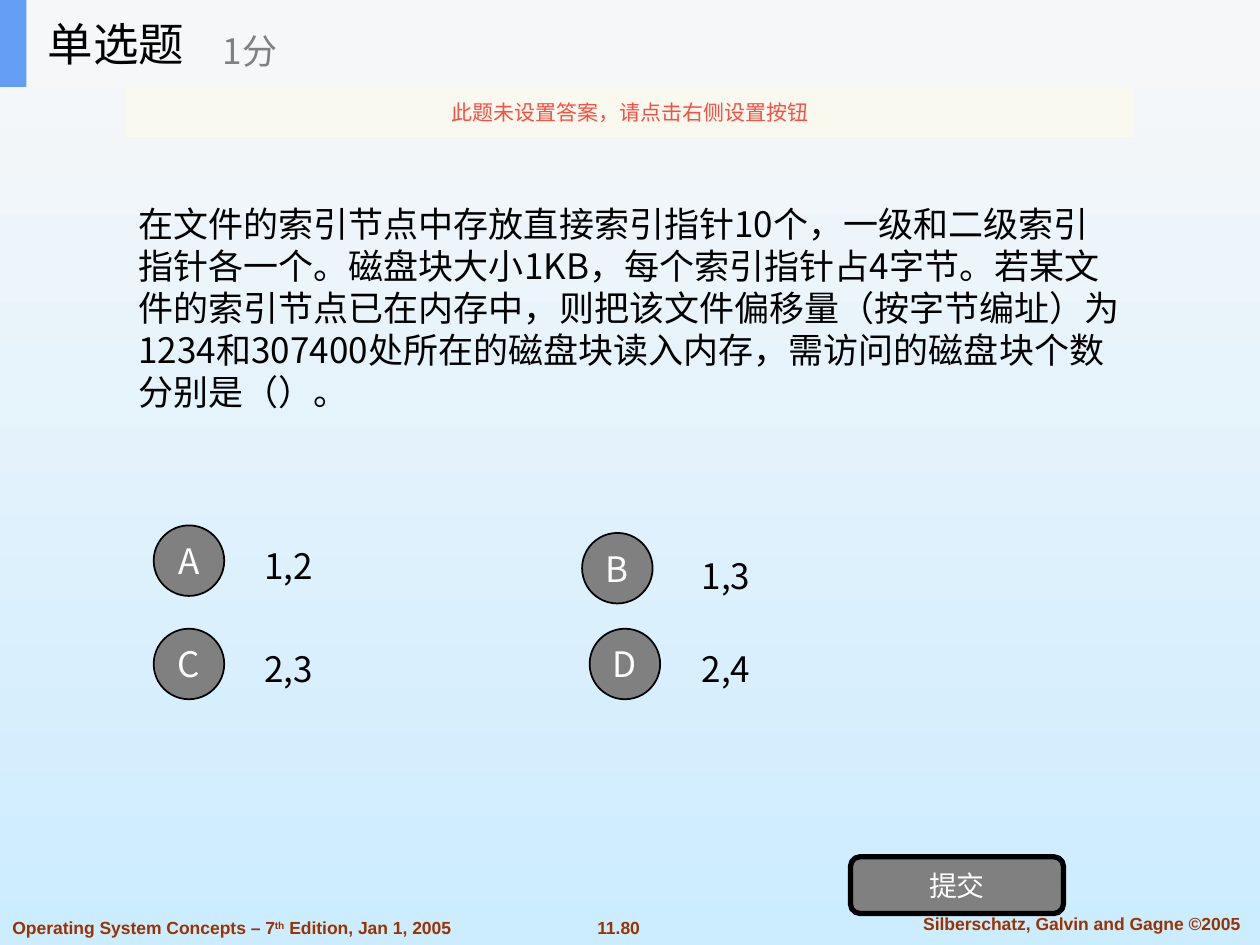
"""Builds a single-choice quiz slide about file index blocks."""
from lxml import etree
from pptx import Presentation
from pptx.dml.color import RGBColor
from pptx.enum.shapes import MSO_SHAPE
from pptx.enum.text import MSO_ANCHOR, PP_ALIGN
from pptx.oxml.ns import qn
from pptx.util import Emu, Pt

EMU_PER_PX = 9144
RECTANGLE, ROUNDED, OVAL = MSO_SHAPE.RECTANGLE, MSO_SHAPE.ROUNDED_RECTANGLE, MSO_SHAPE.OVAL
LEFT, CENTER = PP_ALIGN.LEFT, PP_ALIGN.CENTER
TOP, MIDDLE = MSO_ANCHOR.TOP, MSO_ANCHOR.MIDDLE
BODY_FONT, FOOTER_FONT = "Noto Sans CJK SC", "Arial"

BLACK = RGBColor(0x00, 0x00, 0x00)
WHITE = RGBColor(0xFF, 0xFF, 0xFF)
GRAY = RGBColor(0x80, 0x80, 0x80)
BROWN = RGBColor(0x99, 0x33, 0x00)
BLUE = RGBColor(0x63, 0x9E, 0xF4)
HEADER = RGBColor(0xF6, 0xF7, 0xF8)
CREAM = RGBColor(0xFB, 0xFA, 0xEF)
RED = RGBColor(0xF8, 0x4F, 0x41)
SKY_TOP = RGBColor(0xF8, 0xF8, 0xF8)
SKY_BOTTOM = RGBColor(0xCC, 0xEC, 0xFF)

QUESTION = (
    "在文件的索引节点中存放直接索引指针10个，一级和二级索引指针各一个。"
    "磁盘块大小1KB，每个索引指针占4字节。若某文件的索引节点已在内存中，"
    "则把该文件偏移量（按字节编址）为1234和307400处所在的磁盘块读入内存，"
    "需访问的磁盘块个数分别是（）。"
)
OPTIONS = [
    ("A", "1,2", (122, 417), (200, 417)),
    ("B", "1,3", (462, 423), (547, 425)),
    ("C", "2,3", (122, 499), (200, 499)),
    ("D", "2,4", (468, 499), (547, 499)),
]
FOOTERS = [
    ([("11.80", 0)], (463, 723, 56, 27), CENTER, False),
    ([("Silberschatz, Galvin and Gagne ©2005", 0)], (710, 720, 297, 27), CENTER, True),
    ([("Operating System Concepts – 7", 0), ("th", 30), (" Edition, Jan 1, 2005", 0)],
     (0, 723, 369, 27), LEFT, False),
]


def px(*lengths):
    return [Emu(length * EMU_PER_PX) for length in lengths]


def write(box, text, size=20, color=BLACK, font=BODY_FONT, bold=False,
          align=LEFT, anchor=MIDDLE, wrap=True):
    frame = box.text_frame
    frame.word_wrap = wrap
    frame.vertical_anchor = anchor
    para = frame.paragraphs[0]
    para.alignment = align
    for words, raised in [(text, 0)] if isinstance(text, str) else text:
        span = para.add_run()
        span.text = words
        span.font.size = Pt(size)
        span.font.bold = bold
        span.font.color.rgb = color
        span.font.name = font
        properties = span.font._element
        etree.SubElement(properties, qn("a:ea")).set("typeface", font)
        if raised:
            properties.set("baseline", str(raised * 1000))


class QuizSlide:
    def __init__(self, deck):
        self.page = deck.slides.add_slide(deck.slide_layouts[6])

    def background(self, first, last):
        fill = self.page.background.fill
        fill.gradient()
        fill.gradient_angle = 270
        for stop, color in zip(fill.gradient_stops, (first, last)):
            stop.color.rgb = color

    def text(self, place, text, **style):
        write(self.page.shapes.add_textbox(*px(*place)), text, **style)

    def shape(self, kind, place, fill, text="", line=0, opacity=100, **style):
        shape = self.page.shapes.add_shape(kind, *px(*place))
        shape.shadow.inherit = False
        shape.fill.solid()
        shape.fill.fore_color.rgb = fill
        if opacity < 100:
            color = shape.fill._xPr.find(f".//{qn('a:srgbClr')}")
            etree.SubElement(color, qn("a:alpha")).set("val", str(opacity * 1000))
        if line:
            shape.line.color.rgb = BLACK
            shape.line.width = Pt(line)
        else:
            shape.line.fill.background()
        if text:
            write(shape, text, align=CENTER, wrap=False, **style)


def main():
    deck = Presentation()
    deck.slide_width, deck.slide_height = px(1000, 750)
    quiz = QuizSlide(deck)
    quiz.background(SKY_TOP, SKY_BOTTOM)
    for text, place, align, wrap in FOOTERS:
        quiz.text(place, text, size=10, color=BROWN, font=FOOTER_FONT, bold=True,
                  align=align, anchor=TOP, wrap=wrap)

    quiz.text((100, 127, 800, 234), QUESTION)
    for letter, answer, badge, label in OPTIONS:
        quiz.text((*label, 120, 63), answer)
        quiz.shape(OVAL, (*badge, 56, 56), GRAY, letter, line=1, color=WHITE)
    quiz.shape(ROUNDED, (675, 680, 169, 45), GRAY, "提交", line=3, size=16, color=WHITE)

    quiz.shape(RECTANGLE, (0, 0, 1000, 69), HEADER)
    quiz.shape(RECTANGLE, (0, 0, 21, 69), BLUE)
    quiz.text((28, 0, 208, 69), "单选题", size=26, wrap=False)
    quiz.text((167, 12, 250, 56), "1分", color=GRAY, wrap=False)
    quiz.shape(RECTANGLE, (100, 69, 800, 40), CREAM, "此题未设置答案，请点击右侧设置按钮",
               opacity=90, size=12, color=RED)
    deck.save("out.pptx")


if __name__ == "__main__":
    main()
